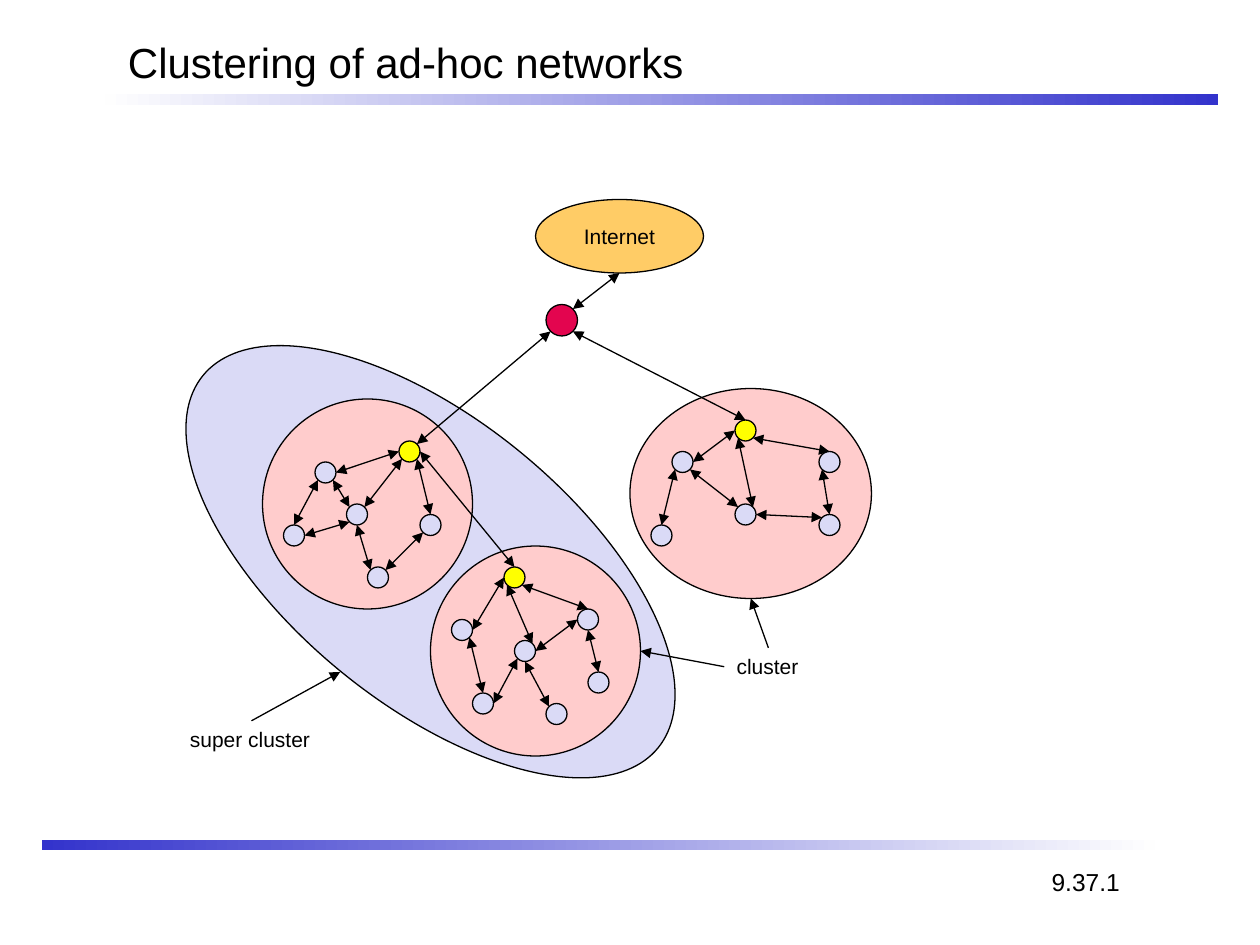
"""Build the slide showing how ad-hoc networks form clusters and a super cluster."""
from lxml import etree
from pptx import Presentation
from pptx.dml.color import RGBColor
from pptx.enum.shapes import MSO_CONNECTOR, MSO_SHAPE
from pptx.enum.text import MSO_ANCHOR, MSO_AUTO_SIZE, PP_ALIGN
from pptx.oxml.ns import qn
from pptx.util import Cm, Pt

STRAIGHT = MSO_CONNECTOR.STRAIGHT
OVAL, RECTANGLE = MSO_SHAPE.OVAL, MSO_SHAPE.RECTANGLE
MIDDLE, CENTER = MSO_ANCHOR.MIDDLE, PP_ALIGN.CENTER
FIT_SHAPE, FIXED_SHAPE = MSO_AUTO_SIZE.SHAPE_TO_FIT_TEXT, MSO_AUTO_SIZE.NONE
TOP_SIDE, LEFT_SIDE = 0, 1
CELL = 2.54 / 12
DIAGONAL = 0.71
COLORS = {
    "black": "000000", "white": "FEFEFE", "blue": "3333CC",
    "lavender": "DADAF6", "pink": "FFCCCC", "yellow": "FFFF00",
    "red": "E3054F", "orange": "FFCC66",
}
COLORS = {name: RGBColor.from_string(value) for name, value in COLORS.items()}
SITES = {
    "n": (0, -1), "s": (0, 1), "w": (-1, 0), "e": (1, 0),
    "nw": (-DIAGONAL, -DIAGONAL), "ne": (DIAGONAL, -DIAGONAL),
    "sw": (-DIAGONAL, DIAGONAL), "se": (DIAGONAL, DIAGONAL),
}

presentation = Presentation()
presentation.slide_width, presentation.slide_height = Cm(25.4), Cm(19.05)
slide = presentation.slides.add_slide(presentation.slide_layouts[6])
shapes = slide.shapes


def add_ellipse(x, y, width, height, color):
    """Add an outlined ellipse centred on a grid point."""
    box = (x - width / 2, y - height / 2, width, height)
    shape = shapes.add_shape(OVAL, *(Cm(value * CELL) for value in box))
    shape.shadow.inherit = False
    shape.fill.solid()
    shape.fill.fore_color.rgb = COLORS[color]
    shape.line.color.rgb = COLORS["black"]
    shape.line.width = Pt(0.75)
    return shape


def add_arrow(start, end, ends):
    """Add a thin arrow between two grid points."""
    arrow = shapes.add_connector(STRAIGHT, *(Cm(value * CELL) for value in start + end))
    arrow.line.color.rgb = COLORS["black"]
    arrow.line.width = Pt(0.75)
    line = arrow.line._get_or_add_ln()
    for tag in ends:
        etree.SubElement(line, qn(tag), type="triangle")
    etree.SubElement(arrow._element.spPr, qn("a:effectLst"))
    return arrow


for left, top, colors in [(10, 9, ("white", "blue")), (4, 80, ("blue", "white"))]:
    bar = shapes.add_shape(RECTANGLE, *(Cm(value * CELL) for value in (left, top, 106, 1)))
    bar.shadow.inherit = False
    bar.line.fill.background()
    bar.fill.gradient()
    bar.fill.gradient_angle = 0
    for stop, color in zip(bar.fill.gradient_stops, colors):
        stop.color.rgb = COLORS[color]

super_cluster = add_ellipse(41, 53.5, 56, 27, "lavender")
super_cluster.rotation = 39.3
for x, y, width in [(71.5, 47, 23), (35, 48, 20), (51, 62, 20)]:
    add_ellipse(x, y, width, 20, "pink")

nodes = {
    "a1": (28, 51), "a2": (34, 49), "a3": (31, 45),
    "a head": (39, 43), "a5": (41, 50), "a6": (36, 55),
    "b1": (63, 51), "b2": (71, 49), "b3": (65, 44),
    "b head": (71, 41), "b5": (79, 44), "b6": (79, 50),
    "c1": (46, 67), "c2": (50, 62), "c3": (44, 60), "c head": (49, 55),
    "c5": (56, 59), "c6": (57, 65), "c7": (53, 68),
}
outlines = {name: (x, y, 2, 2) for name, (x, y) in nodes.items()}
outlines["gateway"] = (53.5, 30.5, 3, 3)
outlines["internet"] = (59, 22.5, 16, 7)
node_colors = {"gateway": "red", "internet": "orange"}
ellipses = {}
for name, outline in outlines.items():
    default = "yellow" if name.endswith("head") else "lavender"
    ellipses[name] = add_ellipse(*outline, node_colors.get(name, default))

links = [
    ("a1", "e", "a2", "sw"), ("a1", "n", "a3", "sw"), ("a2", "ne", "a head", "sw"),
    ("a3", "se", "a2", "nw"), ("a3", "e", "a head", "w"), ("a6", "nw", "a2", "s"),
    ("a5", "n", "a head", "se"), ("a5", "sw", "a6", "ne"),
    ("b1", "n", "b3", "sw"), ("b2", "ne", "b head", "sw"), ("b3", "se", "b2", "nw"),
    ("b3", "e", "b head", "w"), ("b6", "nw", "b2", "e"), ("b5", "n", "b head", "se"),
    ("b5", "sw", "b6", "n"),
    ("c1", "e", "c2", "sw"), ("c1", "n", "c3", "se"), ("c2", "ne", "c head", "sw"),
    ("c5", "w", "c2", "e"), ("c3", "e", "c head", "w"), ("c5", "n", "c head", "se"),
    ("c5", "s", "c6", "n"), ("c7", "nw", "c2", "s"),
    ("a head", "e", "c head", "n"), ("gateway", "ne", "internet", "s"),
    ("a head", "ne", "gateway", "sw"), ("gateway", "se", "b head", "n"),
]
for first, first_site, second, second_site in links:
    points = []
    for name, site in [(first, first_site), (second, second_site)]:
        x, y, width, height = outlines[name]
        across, down = SITES[site]
        points.append((x + across * width / 2, y + down * height / 2))
    add_arrow(*points, ("a:headEnd", "a:tailEnd"))

texts = {
    "Clustering of ad-hoc networks": (2.33, 0.61, 21.59, 1.27, 24),
    "super cluster": (3.58, 14.53, 2.98, 0.76, 12),
    "cluster": (14.6, 13.06, 1.78, 0.76, 12),
    "9.37.1": (20.95, 17.36, 1.9, 0.86, 14),
}
labels = {}
for text, (left, top, width, height, size) in texts.items():
    label = shapes.add_textbox(Cm(left), Cm(top), Cm(width), Cm(height))
    label.text_frame.word_wrap = False
    label.text_frame.auto_size = FIT_SHAPE
    label.text_frame.text = text
    label.text_frame.paragraphs[0].font.size = Pt(size)
    labels[text] = label
title_frame = labels["Clustering of ad-hoc networks"].text_frame
title_frame.word_wrap = True
title_frame.auto_size = FIXED_SHAPE
title_frame.vertical_anchor = MIDDLE

internet_frame = ellipses["internet"].text_frame
internet_frame.word_wrap = False
internet_frame.vertical_anchor = MIDDLE
internet_frame.text = "Internet"
internet_frame.paragraphs[0].alignment = CENTER
internet_frame.paragraphs[0].font.size = Pt(12)
for frame in [internet_frame] + [label.text_frame for label in labels.values()]:
    paragraph = frame.paragraphs[0]
    paragraph.font.name = "Arial"
    paragraph.font.color.rgb = COLORS["black"]

pointers = [
    ("cluster", TOP_SIDE, (73, 62), (71.5, 57)),
    ("cluster", LEFT_SIDE, (69, 63.5), (61, 62)),
    ("super cluster", TOP_SIDE, (24, 68.5), (32.4, 64)),
]
for text, side, start, end in pointers:
    pointer = add_arrow(start, end, ("a:tailEnd",))
    pointer.begin_connect(labels[text], side)

presentation.save("out.pptx")
